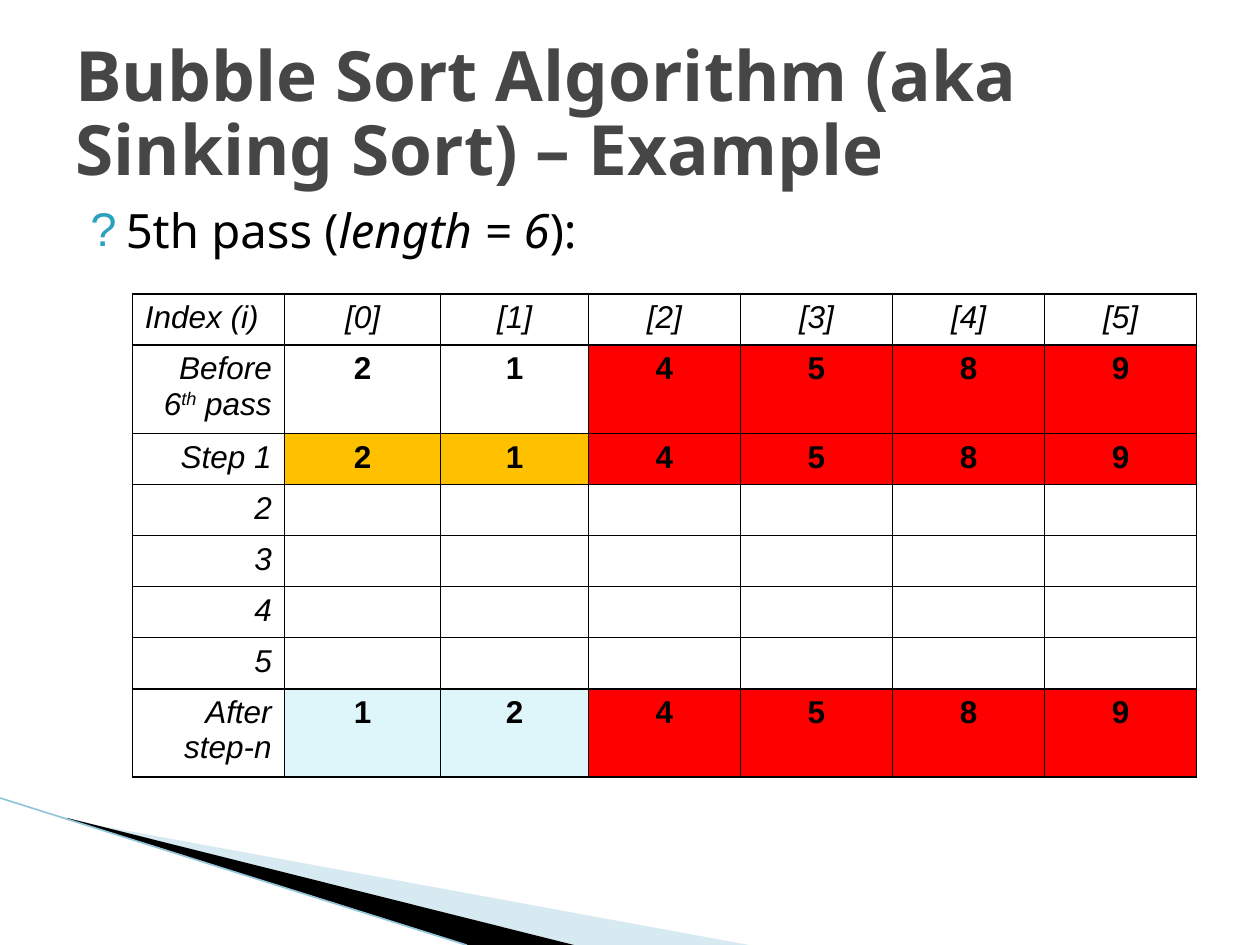
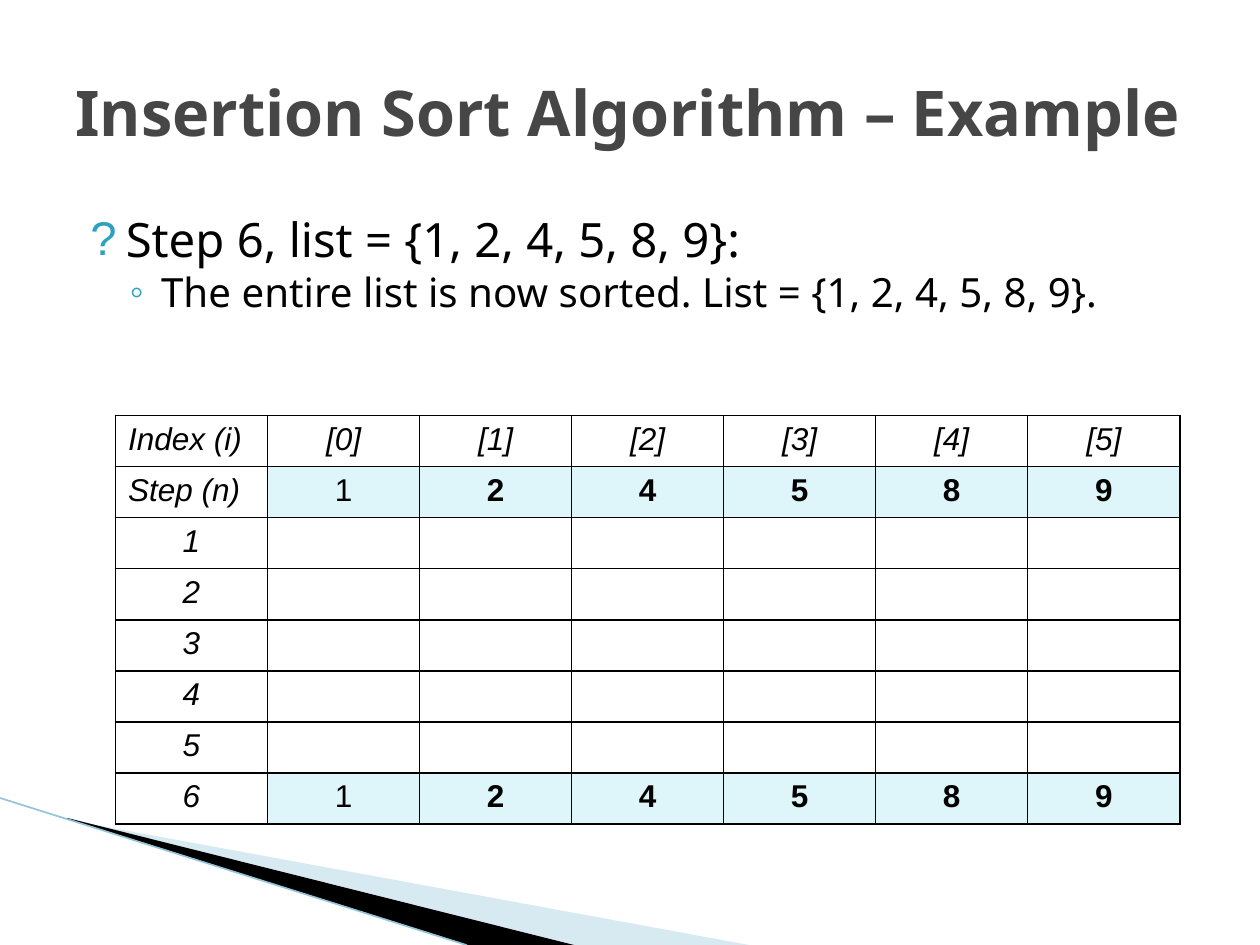
from dataclasses import dataclass

from lxml.etree import SubElement
from pptx import Presentation
from pptx.dml.color import RGBColor
from pptx.enum.shapes import MSO_CONNECTOR
from pptx.enum.text import MSO_ANCHOR, PP_ALIGN
from pptx.oxml.ns import qn
from pptx.util import Pt


# Theme
@dataclass(frozen=True)
class Theme:
    heading_font: str = "Noto Sans"
    table_font: str = "Arial"
    title: str = "464646"
    ink: str = "000000"
    bullet: str = "2DA2BF"
    band: str = "9CCADC"
    band_edge: str = "93C5D8"
    settled: str = "FF0000"
    compared: str = "FFC000"
    result: str = "DEF5FA"
    body_size: float = 27
    sub_size: float = 23
    table_size: float = 18


THEME = Theme()
LEFT, CENTER, RIGHT = PP_ALIGN.LEFT, PP_ALIGN.CENTER, PP_ALIGN.RIGHT
ROW_HEIGHT = 29.2
COLUMN_WIDTH = 86.9


@dataclass(frozen=True)
class Span:
    text: str
    bold: bool = False
    italic: bool = False
    raised: bool = False


@dataclass(frozen=True)
class Bullet:
    spans: tuple[Span, ...]
    mark: str = "?"
    size: float = THEME.body_size
    indent: float = 28.8
    hanging: float = 20.2
    before: float = 0
    spacing: float = 1.0


@dataclass(frozen=True)
class Row:
    label: tuple[Span, ...]
    align: PP_ALIGN
    values: tuple[Span, ...] = ()
    fills: tuple[str, ...] = ()


@dataclass(frozen=True)
class SortSlide:
    title: str
    title_size: float
    body_top: float
    bullets: tuple[Bullet, ...]
    table_left: float
    table_top: float
    widths: tuple[float, ...]
    rows: tuple[Row, ...]


# Text helpers
def add_span(para, span: Span, font: str, size: float, color: str) -> None:
    run = para.add_run()
    run.text = span.text
    run.font.name, run.font.size = font, Pt(size)
    run.font.bold, run.font.italic = span.bold, span.italic
    run.font.color.rgb = RGBColor.from_string(color)
    if span.raised:
        run.font._element.set("baseline", "30000")


def add_box(page, top: float, height: float, anchor: MSO_ANCHOR):
    frame = page.shapes.add_textbox(Pt(36), Pt(top), Pt(648), Pt(height)).text_frame
    frame.word_wrap = True
    frame.vertical_anchor = anchor
    return frame


def add_title(page, text: str, size: float) -> None:
    para = add_box(page, 21.6, 90, MSO_ANCHOR.MIDDLE).paragraphs[0]
    para.line_spacing = 0.88
    add_span(para, Span(text, bold=True), THEME.heading_font, size, THEME.title)


def add_bullets(page, top: float, bullets: tuple[Bullet, ...]) -> None:
    frame = add_box(page, top, 356.4, MSO_ANCHOR.TOP)
    for number, bullet in enumerate(bullets):
        para = frame.add_paragraph() if number else frame.paragraphs[0]
        para.space_before = Pt(bullet.before)
        para.line_spacing = bullet.spacing
        props = para._p.get_or_add_pPr()
        props.set("marL", str(Pt(bullet.indent)))
        props.set("indent", str(-Pt(bullet.hanging)))
        color = SubElement(props, qn("a:buClr"))
        SubElement(color, qn("a:srgbClr"), val=THEME.bullet)
        SubElement(props, qn("a:buFont"), typeface=THEME.table_font)
        SubElement(props, qn("a:buChar"), char=bullet.mark)
        for span in bullet.spans:
            add_span(para, span, THEME.heading_font, bullet.size, THEME.ink)


# Corner band
def add_wedge(page, points: list[tuple[float, float]], color: str, opacity: int = 100) -> None:
    start, *rest = [(Pt(x), Pt(y)) for x, y in points]
    builder = page.shapes.build_freeform(*start)
    builder.add_line_segments(rest, close=True)
    wedge = builder.convert_to_shape()
    wedge.shadow.inherit = False
    wedge.line.fill.background()
    wedge.fill.solid()
    wedge.fill.fore_color.rgb = RGBColor.from_string(color)
    if opacity < 100:
        tint = wedge._element.spPr.find(qn("a:solidFill"))[0]
        SubElement(tint, qn("a:alpha"), val=str(opacity * 1000))


def add_corner_band(page) -> None:
    add_wedge(page, [(39.6, 468.7), (428, 540), (328, 540), (39.6, 468)], THEME.band, 40)
    add_wedge(page, [(38, 467.3), (328, 540), (267.5, 540), (38.9, 468)], THEME.ink)
    edge = page.shapes.add_connector(MSO_CONNECTOR.STRAIGHT, Pt(0), Pt(456), Pt(266.5), Pt(540))
    edge.line.width = Pt(0.95)
    edge.line.color.rgb = RGBColor.from_string(THEME.band_edge)
    SubElement(edge._element.spPr, qn("a:effectLst"))


# Table
def add_borders(cell) -> None:
    props = cell._tc.get_or_add_tcPr()
    for side in ("lnL", "lnR", "lnT", "lnB"):
        line = SubElement(props, qn(f"a:{side}"), w=str(Pt(1)))
        fill = SubElement(line, qn("a:solidFill"))
        SubElement(fill, qn("a:srgbClr"), val=THEME.ink)


def fill_cell(cell, spans: tuple[Span, ...], align: PP_ALIGN, color: str) -> None:
    add_borders(cell)
    if color:
        cell.fill.solid()
        cell.fill.fore_color.rgb = RGBColor.from_string(color)
    else:
        cell.fill.background()
    para = cell.text_frame.paragraphs[0]
    para.alignment = align
    for span in spans:
        add_span(para, span, THEME.table_font, THEME.table_size, THEME.ink)


def add_sort_table(page, content: SortSlide) -> None:
    rows, widths = content.rows, content.widths
    table = page.shapes.add_table(
        len(rows), len(widths), Pt(content.table_left), Pt(content.table_top),
        Pt(sum(widths)), Pt(ROW_HEIGHT * len(rows))).table
    table.first_row = table.horz_banding = False
    for column, width in zip(table.columns, widths):
        column.width = Pt(width)
    for index, row in enumerate(rows):
        table.rows[index].height = Pt(ROW_HEIGHT)
        fill_cell(table.cell(index, 0), row.label, row.align, "")
        for place in range(len(widths) - 1):
            spans = row.values[place:place + 1]
            color = row.fills[place] if row.fills else ""
            fill_cell(table.cell(index, place + 1), spans, CENTER, color)


# Row builders
def label(text: str) -> tuple[Span, ...]:
    return (Span(text, italic=True),)


def numbers(text: str, plain: int = 0) -> tuple[Span, ...]:
    return tuple(Span(part, bold=place >= plain) for place, part in enumerate(text.split()))


def pending(first: int, last: int, align: PP_ALIGN) -> tuple[Row, ...]:
    return tuple(Row(label(str(step)), align) for step in range(first, last + 1))


def active_pair(color: str) -> tuple[str, ...]:
    return (color,) * 2 + (THEME.settled,) * 4


# Content
INDEX_ROW = Row(label("Index (i)"), LEFT,
                tuple(Span(f"[{place}]", italic=True) for place in range(6)))
SORTED = numbers("1 2 4 5 8 9", plain=1)
ALL_SORTED = (THEME.result,) * 6

SLIDES = (
    SortSlide(
        title="Bubble Sort Algorithm (aka Sinking Sort) – Example",
        title_size=39.6,
        body_top=111.6,
        bullets=(Bullet((Span("5th pass ("), Span("length = 6", italic=True), Span("):"))),),
        table_left=75.6,
        table_top=168,
        widths=(COLUMN_WIDTH, 89.4, 84.4) + (COLUMN_WIDTH,) * 4,
        rows=(
            INDEX_ROW,
            Row((Span("Before 6", italic=True), Span("th", italic=True, raised=True),
                 Span(" pass", italic=True)), RIGHT, numbers("2 1 4 5 8 9"), active_pair("")),
            Row(label("Step 1"), RIGHT, numbers("2 1 4 5 8 9"), active_pair(THEME.compared)),
            *pending(2, 5, RIGHT),
            Row(label("After step-n"), RIGHT, numbers("1 2 4 5 8 9"), active_pair(THEME.result)),
        ),
    ),
    SortSlide(
        title="Insertion Sort Algorithm – Example",
        title_size=36,
        body_top=116.6,
        bullets=(
            Bullet((Span("Step 6, list = {1, 2, 4, 5, 8, 9}:"),)),
            Bullet((Span("The entire list is now sorted. List = {1, 2, 4, 5, 8, 9}."),),
                   mark="◦", size=THEME.sub_size, indent=49, hanging=18,
                   before=3.2, spacing=0.9),
        ),
        table_left=66,
        table_top=237.4,
        widths=(COLUMN_WIDTH,) * 7,
        rows=(
            INDEX_ROW,
            Row(label("Step (n)"), LEFT, SORTED, ALL_SORTED),
            *pending(1, 5, CENTER),
            Row(label("6"), CENTER, SORTED, ALL_SORTED),
        ),
    ),
)


def main() -> None:
    deck = Presentation()
    deck.slide_width, deck.slide_height = Pt(720), Pt(540)
    for content in SLIDES:
        page = deck.slides.add_slide(deck.slide_layouts[6])
        add_corner_band(page)
        add_bullets(page, content.body_top, content.bullets)
        add_title(page, content.title, content.title_size)
        add_sort_table(page, content)
    deck.save("out.pptx")


if __name__ == "__main__":
    main()
